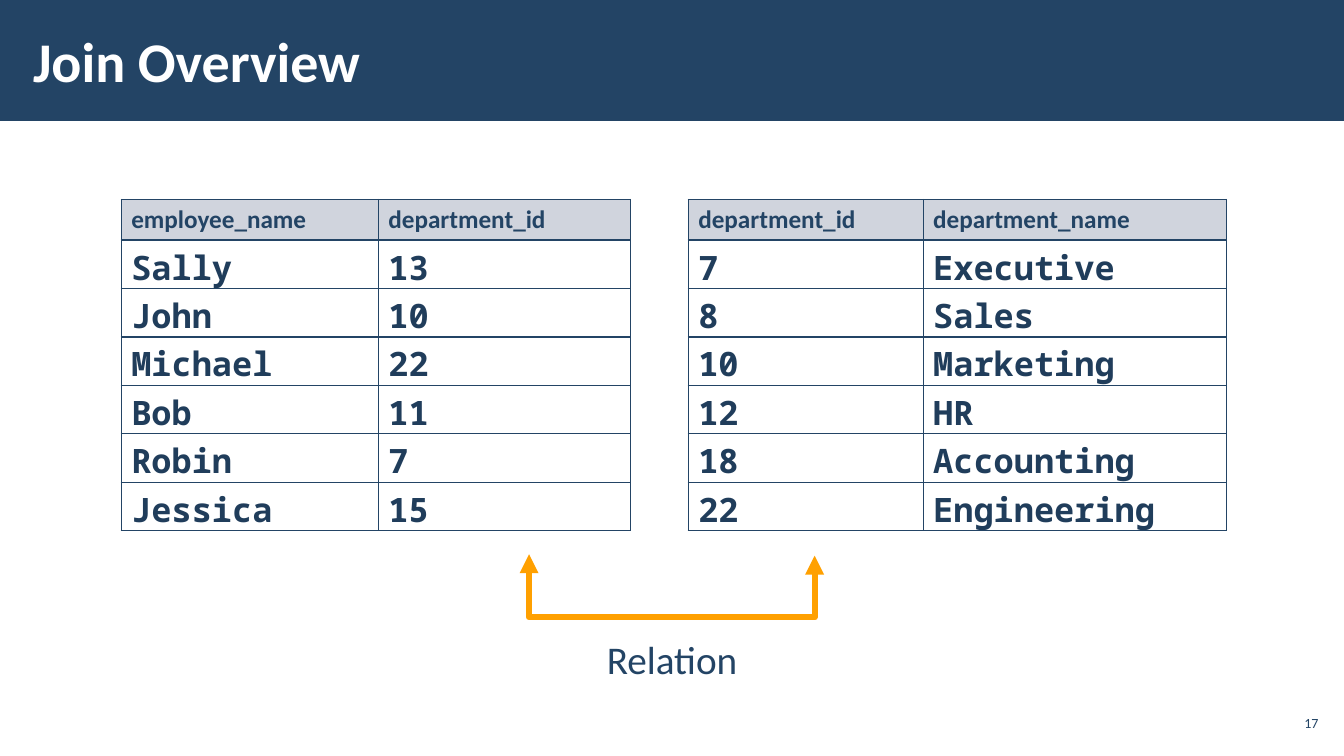
from lxml.etree import SubElement
from pptx import Presentation
from pptx.dml.color import RGBColor
from pptx.enum.shapes import MSO_CONNECTOR as Connector, MSO_SHAPE as Shape
from pptx.enum.text import MSO_ANCHOR as Anchor, PP_ALIGN as Align
from pptx.oxml.ns import qn
from pptx.util import Pt

NAVY = RGBColor(0x23, 0x44, 0x65)
DATA_NAVY = RGBColor(0x20, 0x3D, 0x5B)
HEADER_GREY = RGBColor(0xA3, 0xAB, 0xBC)
ORANGE = RGBColor(0xFF, 0xA0, 0x00)
WHITE = RGBColor(0xFF, 0xFF, 0xFF)
TEXT_FONT = "Calibri"
DATA_FONT = "Noto Sans Mono"

TABLE_TOP = 142.5
HEADER_HEIGHT = 29
ROW_HEIGHT = 34.6

EMPLOYEES = [
    ("employee_name", "department_id"),
    ("Sally", "13"),
    ("John", "10"),
    ("Michael", "22"),
    ("Bob", "11"),
    ("Robin", "7"),
    ("Jessica", "15"),
]
DEPARTMENTS = [
    ("department_id", "department_name"),
    ("7", "Executive"),
    ("8", "Sales"),
    ("10", "Marketing"),
    ("12", "HR"),
    ("18", "Accounting"),
    ("22", "Engineering"),
]


def style_runs(paragraph, size, color, bold=False, name=TEXT_FONT):
    for run in paragraph.runs:
        run.font.name = name
        run.font.size = Pt(size)
        run.font.bold = bold
        run.font.color.rgb = color


def add_label(slide, text, box, size, color, align=Align.LEFT, bold=False, margins=(7.2, 3.6)):
    frame = slide.shapes.add_textbox(*map(Pt, box)).text_frame
    frame.word_wrap = True
    frame.vertical_anchor = Anchor.MIDDLE
    frame.margin_left = frame.margin_right = Pt(margins[0])
    frame.margin_top = frame.margin_bottom = Pt(margins[1])
    frame.text = text
    frame.paragraphs[0].alignment = align
    style_runs(frame.paragraphs[0], size, color, bold)


def add_title_band(slide, title):
    band = slide.shapes.add_shape(Shape.RECTANGLE, 0, 0, Pt(960), Pt(86.4))
    band.shadow.inherit = False
    band.fill.solid()
    band.fill.fore_color.rgb = NAVY
    band.line.fill.background()
    add_label(slide, title, (15, 8, 763, 70), 40, WHITE, bold=True, margins=(8.6, 2.9))


def set_borders(cell):
    properties = cell._tc.get_or_add_tcPr()
    for position, side in enumerate(("lnL", "lnR", "lnT", "lnB")):
        border = SubElement(properties, qn(f"a:{side}"), w=str(Pt(1)))
        fill = SubElement(border, qn("a:solidFill"))
        SubElement(fill, qn("a:srgbClr"), val=str(NAVY))
        properties.insert(position, border)


def fill_header(cell):
    cell.fill.solid()
    cell.fill.fore_color.rgb = HEADER_GREY
    color = cell._tc.tcPr.find(qn("a:solidFill")).find(qn("a:srgbClr"))
    SubElement(color, qn("a:alpha"), val="50000")


def add_data_table(slide, rows, left, widths):
    height = HEADER_HEIGHT + ROW_HEIGHT * (len(rows) - 1)
    table = slide.shapes.add_table(
        len(rows), len(widths), Pt(left), Pt(TABLE_TOP), Pt(sum(widths)), Pt(height)
    ).table
    table.horz_banding = False
    table.first_row = False
    for column, width in zip(table.columns, widths):
        column.width = Pt(width)
    for r, values in enumerate(rows):
        table.rows[r].height = Pt(ROW_HEIGHT if r else HEADER_HEIGHT)
        for c, value in enumerate(values):
            cell = table.cell(r, c)
            cell.text = value
            paragraph = cell.text_frame.paragraphs[0]
            if r:
                cell.fill.background()
                cell.margin_bottom = Pt(0)
                paragraph.line_spacing = 0.95
                style_runs(paragraph, 24, DATA_NAVY, True, DATA_FONT)
            else:
                fill_header(cell)
                style_runs(paragraph, 18, NAVY, True)
            set_borders(cell)


def add_relation_arrow(slide):
    # An elbow turned by 270 degrees, its middle part pushed below both tips
    arrow = slide.shapes.add_connector(
        Connector.ELBOW, Pt(480.4), Pt(294.4), Pt(479.4), Pt(498.4)
    )
    arrow.line.color.rgb = ORANGE
    arrow.line.width = Pt(4.5)
    properties = arrow._element.spPr
    properties.find(qn("a:xfrm")).set("rot", str(270 * 60000))
    adjustments = properties.find(qn("a:prstGeom")).get_or_add_avLst()
    SubElement(adjustments, qn("a:gd"), name="adj1", fmla="val 4538000")
    line = properties.find(qn("a:ln"))
    for end in ("headEnd", "tailEnd"):
        SubElement(line, qn(f"a:{end}"), type="triangle")
    SubElement(properties, qn("a:effectLst"))


def main():
    deck = Presentation()
    deck.slide_width, deck.slide_height = Pt(960), Pt(540)
    slide = deck.slides.add_slide(deck.slide_layouts[6])

    # Heading and slide number
    add_title_band(slide, "Join Overview")
    add_label(slide, "17", (911, 504, 33.6, 24.5), 10, NAVY, Align.RIGHT, margins=(2.9, 2.9))

    # Joined tables
    add_data_table(slide, EMPLOYEES, 86.6, (183.6, 180))
    add_data_table(slide, DEPARTMENTS, 491.6, (167.8, 216.4))

    # Relation between the department_id columns
    add_relation_arrow(slide)
    add_label(slide, "Relation", (425.5, 450, 109, 41), 28, NAVY, Align.CENTER)

    deck.save("out.pptx")


if __name__ == "__main__":
    main()
